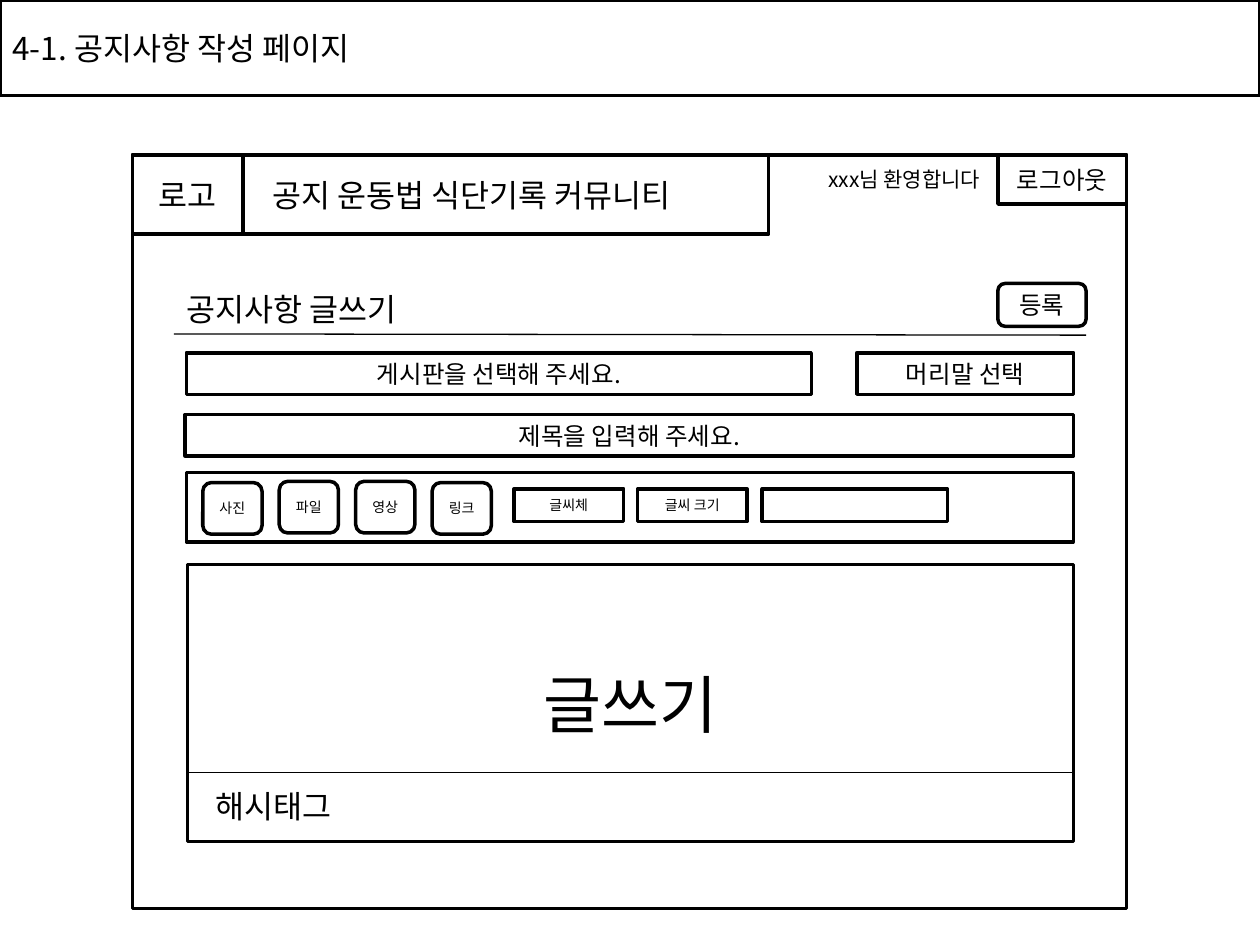
from lxml.etree import SubElement
from pptx import Presentation
from pptx.dml.color import RGBColor
from pptx.enum.shapes import MSO_CONNECTOR, MSO_SHAPE
from pptx.enum.text import MSO_ANCHOR, MSO_AUTO_SIZE, PP_ALIGN
from pptx.oxml.ns import qn
from pptx.util import Inches, Pt

BLACK = RGBColor(0, 0, 0)
WHITE = RGBColor(255, 255, 255)


class Wireframe:
    font_name = "Noto Sans CJK KR"
    border = Pt(2)
    rule_width = Pt(0.75)

    def __init__(self, slide):
        self.slide = slide

    def set_text(self, frame, text, size, align):
        paragraph = frame.paragraphs[0]
        paragraph.text = text
        paragraph.alignment = align
        font = paragraph.font
        font.size = Pt(size)
        font.color.rgb = BLACK
        font.name = self.font_name
        defaults = paragraph._p.pPr.find(qn("a:defRPr"))
        SubElement(defaults, qn("a:ea")).set("typeface", self.font_name)

    def box(self, left, top, width, height, text="", size=14, fill=WHITE,
            align=PP_ALIGN.CENTER, kind=MSO_SHAPE.RECTANGLE, inset=0.1):
        shape = self.slide.shapes.add_shape(
            kind, Inches(left), Inches(top), Inches(width), Inches(height))
        shape.shadow.inherit = False
        if fill is None:
            shape.fill.background()
        else:
            shape.fill.solid()
            shape.fill.fore_color.rgb = fill
        shape.line.color.rgb = BLACK
        shape.line.width = self.border
        if text:
            frame = shape.text_frame
            frame.margin_left = Inches(inset)
            frame.vertical_anchor = MSO_ANCHOR.MIDDLE
            self.set_text(frame, text, size, align)

    def button(self, left, top, width, height, text, size=14):
        self.box(left, top, width, height, text, size,
                 kind=MSO_SHAPE.ROUNDED_RECTANGLE)

    def label(self, left, top, width, height, text, size=18,
              align=PP_ALIGN.LEFT, anchor=MSO_ANCHOR.TOP, right_inset=0.1):
        frame = self.slide.shapes.add_textbox(
            Inches(left), Inches(top), Inches(width), Inches(height)).text_frame
        frame.word_wrap = True
        frame.auto_size = (MSO_AUTO_SIZE.SHAPE_TO_FIT_TEXT
                           if anchor == MSO_ANCHOR.TOP else MSO_AUTO_SIZE.NONE)
        frame.vertical_anchor = anchor
        frame.margin_right = Inches(right_inset)
        self.set_text(frame, text, size, align)

    def rule(self, x1, y1, x2, y2):
        line = self.slide.shapes.add_connector(
            MSO_CONNECTOR.STRAIGHT, Inches(x1), Inches(y1), Inches(x2), Inches(y2))
        line.line.color.rgb = BLACK
        line.line.width = self.rule_width
        SubElement(line._element.spPr, qn("a:effectLst"))


def main():
    deck = Presentation()
    deck.slide_width = Inches(10)
    deck.slide_height = Inches(7.5)
    page = Wireframe(deck.slides.add_slide(deck.slide_layouts[6]))

    page.box(0, 0, 10, 0.76, "4-1. 공지사항 작성 페이지", 18, None, PP_ALIGN.LEFT)

    page.box(1.05, 1.23, 7.89, 5.98, fill=None)
    page.box(7.92, 1.23, 1.02, 0.39, "로그아웃", fill=None)
    page.box(1.05, 1.23, 0.88, 0.63, "로고", 18, None)
    page.box(1.93, 1.23, 4.17, 0.63, "공지 운동법 식단기록 커뮤니티", 18, None,
             PP_ALIGN.LEFT, inset=0.23)
    page.label(6.1, 1.23, 1.82, 0.39, "xxx님 환영합니다", 12,
               PP_ALIGN.RIGHT, MSO_ANCHOR.MIDDLE, 0.14)

    page.rule(1.38, 2.65, 8.62, 2.66)
    page.label(1.38, 2.25, 2.05, 0.4, "공지사항 글쓰기")
    page.button(7.92, 2.25, 0.7, 0.34, "등록")

    page.box(1.48, 2.8, 4.96, 0.33, "게시판을 선택해 주세요.")
    page.box(1.47, 3.29, 7.05, 0.33, "제목을 입력해 주세요.")
    page.box(6.8, 2.8, 1.72, 0.33, "머리말 선택")

    page.box(1.48, 3.75, 7.04, 0.55)
    for column, attachment in enumerate(("사진", "파일", "영상", "링크")):
        top = 3.83 if column in (0, 3) else 3.82
        page.button(1.61 + column * 1.82 / 3, top, 0.47, 0.41, attachment, 8)
    for left, width, option in ((4.08, 0.87, "글씨체"),
                                (5.06, 0.87, "글씨 크기"),
                                (6.05, 1.47, "")):
        page.box(left, 3.88, width, 0.26, option, 8)

    page.box(1.49, 4.48, 7.03, 2.2, "글쓰기", 36)
    page.rule(1.48, 6.13, 8.52, 6.13)
    page.label(1.61, 6.2, 2.28, 0.4, "해시태그")

    deck.save("out.pptx")


if __name__ == "__main__":
    main()
